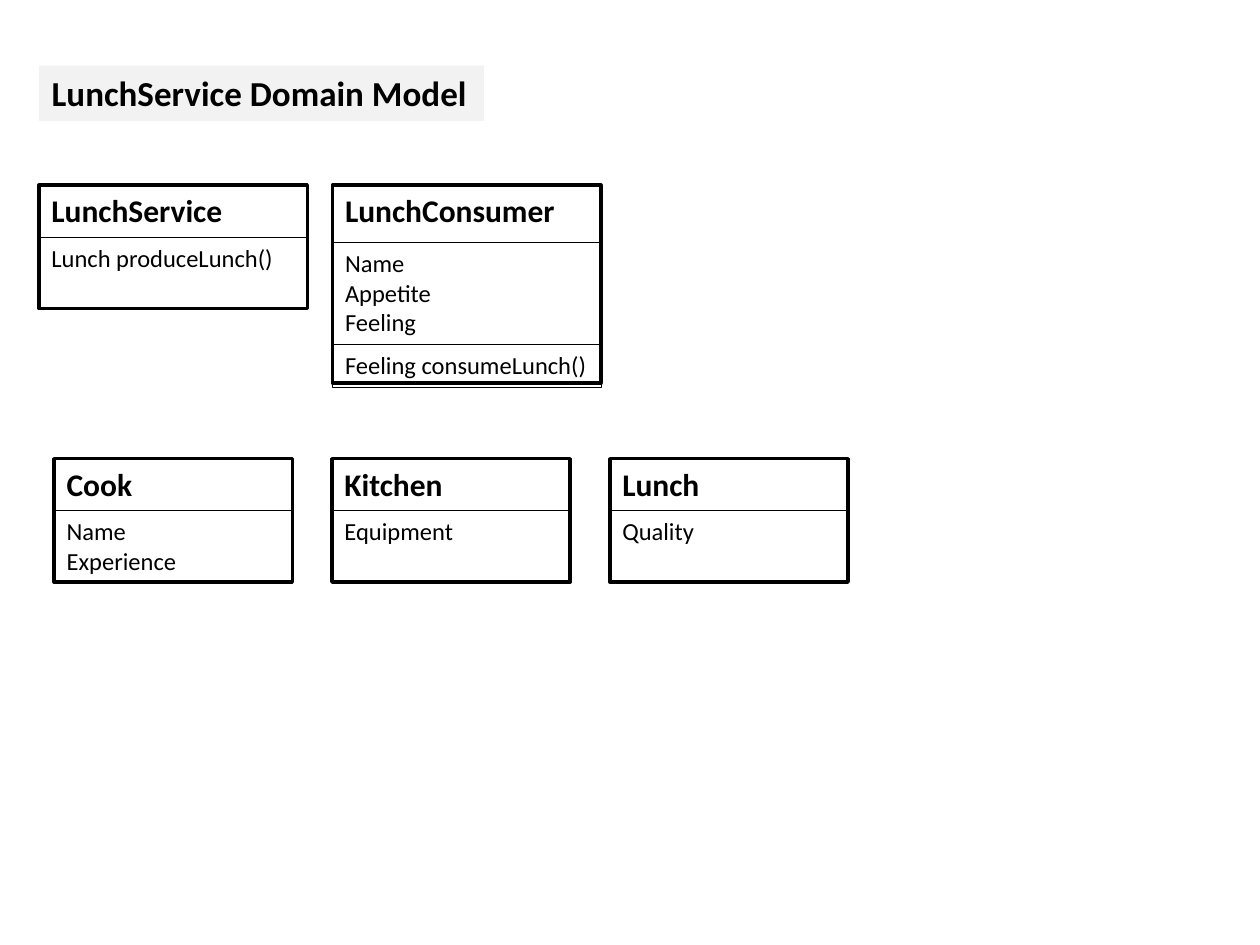
"""Builds the LunchService domain model slide as grouped class boxes."""
from pptx import Presentation
from pptx.dml.color import RGBColor
from pptx.enum.shapes import MSO_SHAPE
from pptx.enum.text import MSO_ANCHOR, MSO_AUTO_SIZE, PP_ALIGN
from pptx.util import Inches, Pt

BLACK = RGBColor(0x00, 0x00, 0x00)
WHITE = RGBColor(0xFF, 0xFF, 0xFF)
PALE_GRAY = RGBColor(0xF2, 0xF2, 0xF2)
FONT = "Calibri"

TITLE = "LunchService Domain Model"
SERVICE_ROW = [
    {"name": "LunchService", "header": 0.41, "height": 0.98,
     "sections": [(["Lunch produceLunch()"], 0.57)]},
    {"name": "LunchConsumer", "header": 0.45, "height": 1.57,
     "sections": [(["Name", "Appetite", "Feeling"], 0.81),
                  (["Feeling consumeLunch()"], 0.34)]},
]
ENTITY_ROW = [
    {"name": name, "header": 0.41, "height": 0.98, "sections": [(members, 0.57)]}
    for name, members in [("Cook", ["Name", "Experience"]),
                          ("Kitchen", ["Equipment"]),
                          ("Lunch", ["Quality"])]
]
ROWS = [
    {"classes": SERVICE_ROW, "left": 0.31, "top": 1.47, "width": 2.13, "pitch": 2.33},
    {"classes": ENTITY_ROW, "left": 0.43, "top": 3.64, "width": 1.89, "pitch": 2.205},
]


def write(frame, lines, size, bold=False, anchor=MSO_ANCHOR.TOP, wrap=True):
    frame.word_wrap = wrap
    frame.auto_size = MSO_AUTO_SIZE.NONE
    frame.vertical_anchor = anchor
    for index, line in enumerate(lines):
        paragraph = frame.add_paragraph() if index else frame.paragraphs[0]
        paragraph.alignment = PP_ALIGN.LEFT
        run = paragraph.add_run()
        run.text = line
        run.font.name = FONT
        run.font.size = Pt(size)
        run.font.bold = bold
        run.font.color.rgb = BLACK


def add_compartment(group, bounds, lines, size, line_width, fill=None, bold=False):
    compartment = group.shapes.add_shape(MSO_SHAPE.RECTANGLE, *map(Inches, bounds))
    compartment.shadow.inherit = False
    if fill is None:
        compartment.fill.background()
    else:
        compartment.fill.solid()
        compartment.fill.fore_color.rgb = fill
    compartment.line.color.rgb = BLACK
    compartment.line.width = Pt(line_width)
    write(compartment.text_frame, lines, size, bold)


def add_class(slide, model, left, top, width):
    group = slide.shapes.add_group_shape()
    add_compartment(group, (left, top, width, model["height"]), [model["name"]],
                    18, 2, fill=WHITE, bold=True)
    section_top = top + model["header"]
    for members, height in model["sections"]:
        add_compartment(group, (left, section_top, width, height), members, 14, 0.25)
        section_top += height


def add_title(slide):
    title = slide.shapes.title
    title.left, title.top, title.width, title.height = map(Inches, (0.31, 0.52, 3.53, 0.44))
    title.fill.solid()
    title.fill.fore_color.rgb = PALE_GRAY
    write(title.text_frame, [TITLE], 20, bold=True, wrap=False)


def main():
    deck = Presentation()
    deck.slide_width, deck.slide_height = Inches(10), Inches(7.5)
    slide = deck.slides.add_slide(deck.slide_layouts[5])
    add_title(slide)
    for row in ROWS:
        for column, model in enumerate(row["classes"]):
            add_class(slide, model, row["left"] + column * row["pitch"],
                      row["top"], row["width"])
    deck.save("out.pptx")


if __name__ == "__main__":
    main()
